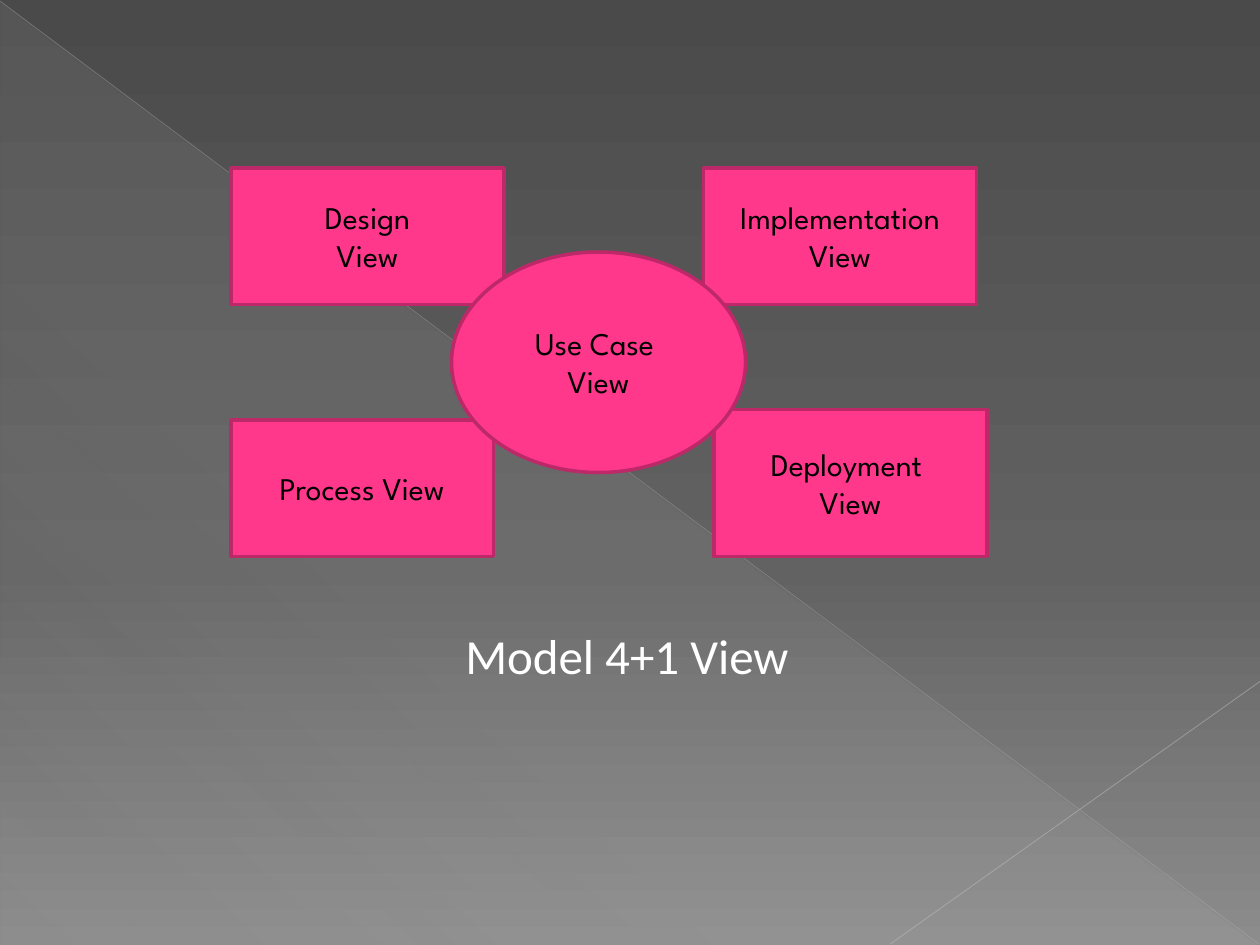
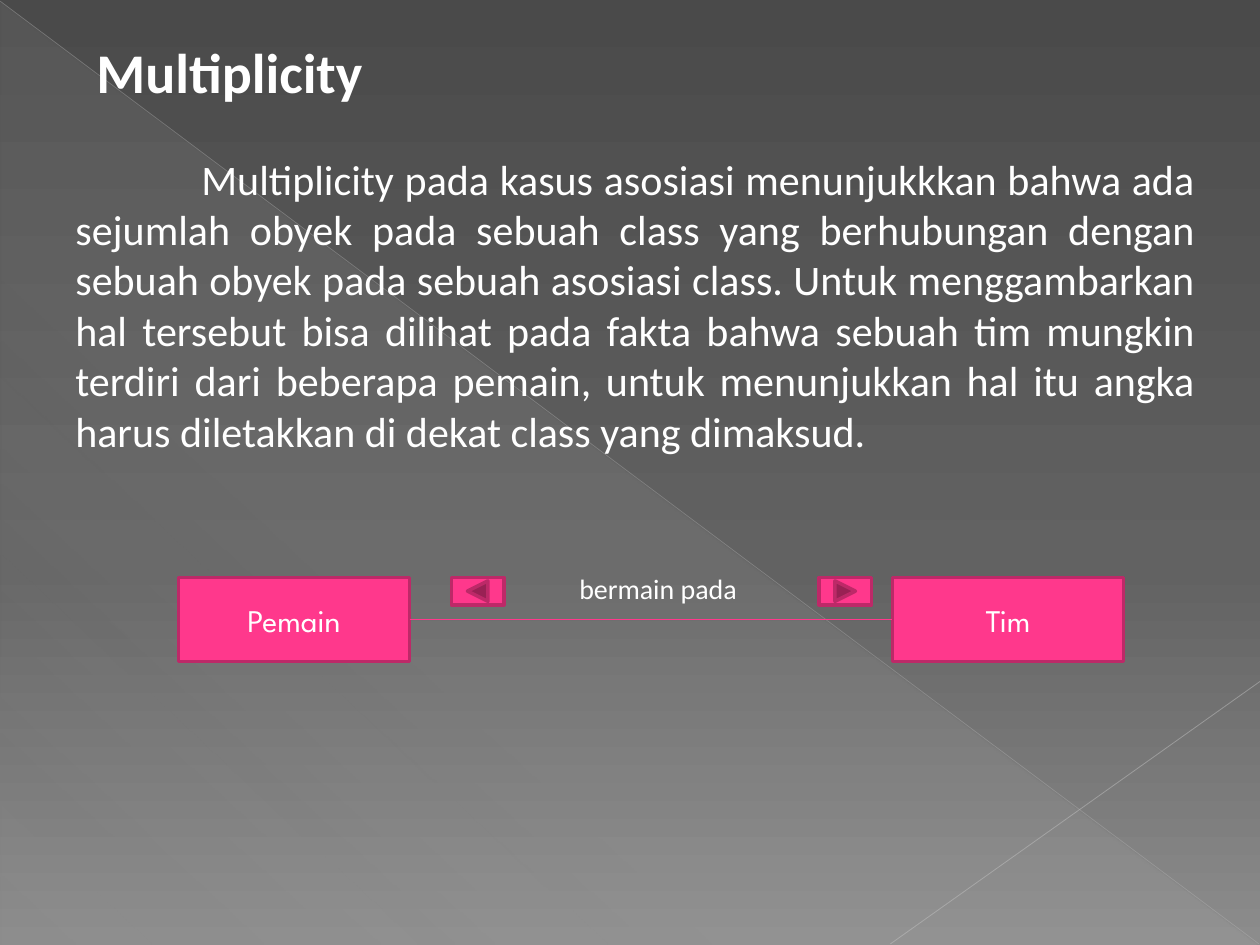
from dataclasses import dataclass
from typing import Optional

from lxml.etree import SubElement
from pptx import Presentation
from pptx.dml.color import RGBColor
from pptx.enum.shapes import MSO_CONNECTOR, MSO_SHAPE
from pptx.enum.text import MSO_ANCHOR, PP_ALIGN
from pptx.oxml.ns import qn
from pptx.util import Inches, Pt

WIDTH, HEIGHT = Inches(10), Inches(7.5)
COLUMNS, ROWS = 120, 90

PINK = RGBColor(0xFF, 0x38, 0x8C)
DEEP_PINK = RGBColor(0xBD, 0x29, 0x68)
BLACK = RGBColor(0x00, 0x00, 0x00)
WHITE = RGBColor(0xFF, 0xFF, 0xFF)
CHARCOAL = RGBColor(0x4A, 0x4A, 0x4A)
SLATE = RGBColor(0x62, 0x62, 0x62)
ASH = RGBColor(0x8C, 0x8C, 0x8C)
MIST = RGBColor(0xD2, 0xD2, 0xD2)
SILVER = RGBColor(0xBF, 0xBF, 0xBF)
PALE_SILVER = RGBColor(0xC6, 0xC6, 0xC6)

TEXT_FONT = "Calibri"
BOX_FONT = "League Spartan"


@dataclass(frozen=True)
class Area:
    """A rectangle in grid columns and rows."""
    column: float
    row: float
    columns: float
    rows: float

    def lengths(self):
        """Return left, top, width and height as lengths."""
        return (across(self.column), down(self.row),
                across(self.columns), down(self.rows))


@dataclass(frozen=True)
class Box:
    """A pink figure with one paragraph for each of its lines."""
    area: Area
    lines: tuple = ()
    color: RGBColor = BLACK
    preset: MSO_SHAPE = MSO_SHAPE.RECTANGLE


@dataclass(frozen=True)
class Stop:
    """A gradient stop, position and opacity in percent."""
    position: int
    color: RGBColor
    opacity: int = 100


@dataclass(frozen=True)
class Stroke:
    """A straight line between two grid points (column, row)."""
    start: tuple
    end: tuple
    color: RGBColor
    points: float
    opacity: int = 100


BACKGROUND = (Stop(0, CHARCOAL), Stop(60, SLATE), Stop(100, ASH))
SHEEN = (Stop(0, MIST, 10), Stop(70, MIST, 8), Stop(100, MIST, 1))
BACKDROP_LINES = (
    Stroke((0, 0.1), (119.9, 89.9), SILVER, 0.39, 35),
    Stroke((120, 64.9), (84.8, 89.9), PALE_SILVER, 0.47, 45),
)

MODEL_VIEWS = (
    Box(Area(22, 16, 26, 13), ("Design", "View")),
    Box(Area(67, 16, 26, 13), ("Implementation", "View")),
    Box(Area(22, 40, 25, 13), ("Process View",)),
    Box(Area(68, 39, 26, 14), ("Deployment ", "View")),
    Box(Area(43, 24, 28, 21), ("Use Case ", "View"), preset=MSO_SHAPE.OVAL),
)

ASSOCIATION_ROW = 55
PLAYER = Area(17, ASSOCIATION_ROW, 22, 8)
TEAM = Area(85, ASSOCIATION_ROW, 22, 8)
ASSOCIATION = (
    Box(PLAYER, ("Pemain",), WHITE),
    Box(TEAM, ("Tim",), WHITE),
    Box(Area(78, ASSOCIATION_ROW, 5, 2.6),
        preset=MSO_SHAPE.ACTION_BUTTON_FORWARD_OR_NEXT),
    Box(Area(43, ASSOCIATION_ROW, 5, 2.6),
        preset=MSO_SHAPE.ACTION_BUTTON_BACK_OR_PREVIOUS),
)

EXPLANATION = (
    "Multiplicity pada kasus asosiasi menunjukkkan bahwa ada sejumlah obyek "
    "pada sebuah class yang berhubungan dengan sebuah obyek pada sebuah "
    "asosiasi class. Untuk menggambarkan hal tersebut bisa dilihat pada fakta "
    "bahwa sebuah tim mungkin terdiri dari beberapa pemain, untuk menunjukkan "
    "hal itu angka harus diletakkan di dekat class yang dimaksud."
)


def across(columns: float) -> int:
    """Turn grid columns into a length."""
    return round(WIDTH * columns / COLUMNS)


def down(rows: float) -> int:
    """Turn grid rows into a length."""
    return round(HEIGHT * rows / ROWS)


def set_opacity(color_element, percent: int) -> None:
    """Add an alpha value to a colour element."""
    SubElement(color_element, qn("a:alpha"), val=str(percent * 1000))


def paint_gradient(fill, owner, stops: tuple, angle: int) -> None:
    """Give a fill, found within its owner element, a linear gradient."""
    fill.gradient()
    gradient = owner.find(".//" + qn("a:gradFill"))
    for child in list(gradient):
        gradient.remove(child)
    stop_list = SubElement(gradient, qn("a:gsLst"))
    for stop in stops:
        entry = SubElement(stop_list, qn("a:gs"), pos=str(stop.position * 1000))
        color = SubElement(entry, qn("a:srgbClr"), val=str(stop.color))
        if stop.opacity < 100:
            set_opacity(color, stop.opacity)
    SubElement(gradient, qn("a:lin"), ang=str(angle * 60000), scaled="0")


def draw_stroke(slide, stroke: Stroke) -> None:
    """Draw a straight line without a shadow."""
    (x1, y1), (x2, y2) = stroke.start, stroke.end
    connector = slide.shapes.add_connector(
        MSO_CONNECTOR.STRAIGHT, across(x1), down(y1), across(x2), down(y2))
    connector.line.color.rgb = stroke.color
    connector.line.width = Pt(stroke.points)
    properties = connector._element.spPr
    if stroke.opacity < 100:
        set_opacity(properties.find(".//" + qn("a:srgbClr")), stroke.opacity)
    SubElement(properties, qn("a:effectLst"))


def add_backdrop_slide(deck):
    """Add a blank slide with the grey gradient, sheen and thin diagonals."""
    slide = deck.slides.add_slide(deck.slide_layouts[6])
    paint_gradient(slide.background.fill, slide._element, BACKGROUND, 90)
    sheen = slide.shapes.add_shape(
        MSO_SHAPE.RIGHT_TRIANGLE, *Area(0.1, 0.2, 119.8, 89.8).lengths())
    sheen.shadow.inherit = False
    sheen.line.fill.background()
    paint_gradient(sheen.fill, sheen._element, SHEEN, 133)
    for stroke in BACKDROP_LINES:
        draw_stroke(slide, stroke)
    return slide


def style_paragraph(paragraph, name: str, size: float, color: RGBColor,
                    align: PP_ALIGN, bold: bool = False) -> None:
    """Set the font and alignment of a paragraph."""
    paragraph.alignment = align
    paragraph.font.name = name
    paragraph.font.size = Pt(size)
    paragraph.font.color.rgb = color
    paragraph.font.bold = bold


def draw_box(slide, box: Box) -> None:
    """Draw a pink figure with centred text."""
    figure = slide.shapes.add_shape(box.preset, *box.area.lengths())
    figure.shadow.inherit = False
    figure.fill.solid()
    figure.fill.fore_color.rgb = PINK
    figure.line.color.rgb = DEEP_PINK
    figure.line.width = Pt(2)
    if box.lines:
        frame = figure.text_frame
        frame.text = "\n".join(box.lines)
        frame.vertical_anchor = MSO_ANCHOR.MIDDLE
        for paragraph in frame.paragraphs:
            style_paragraph(paragraph, BOX_FONT, 18, box.color, PP_ALIGN.CENTER)


def write(slide, area: Area, words: str, size: float,
          align: PP_ALIGN = PP_ALIGN.LEFT, bold: bool = False,
          indent: Optional[int] = None) -> None:
    """Write one white paragraph, with an optional first-line indent."""
    frame = slide.shapes.add_textbox(*area.lengths()).text_frame
    frame.word_wrap = True
    paragraph = frame.paragraphs[0]
    paragraph.text = words
    style_paragraph(paragraph, TEXT_FONT, size, WHITE, align, bold)
    if indent is not None:
        properties = paragraph._p.get_or_add_pPr()
        properties.set("marL", "0")
        properties.set("indent", str(indent))


def build_model_slide(deck) -> None:
    """Show the four views around the use case view."""
    slide = add_backdrop_slide(deck)
    for view in MODEL_VIEWS:
        draw_box(slide, view)
    write(slide, Area(16, 59, 87.4, 7), "Model 4+1 View", 28, PP_ALIGN.CENTER)


def build_multiplicity_slide(deck) -> None:
    """Explain multiplicity with an association of two classes."""
    slide = add_backdrop_slide(deck)
    write(slide, Area(8, 3, 90, 8.5), "Multiplicity", 32, bold=True)
    write(slide, Area(6, 14, 109, 30), EXPLANATION, 24, PP_ALIGN.JUSTIFY,
          indent=across(12))
    write(slide, Area(54, 53.8, 18, 4), "bermain pada", 16)
    for box in ASSOCIATION:
        draw_box(slide, box)
    middle = PLAYER.row + PLAYER.rows / 2
    draw_stroke(slide, Stroke((PLAYER.column + PLAYER.columns, middle),
                              (TEAM.column, middle), PINK, 0.75))


def main() -> None:
    """Build and save the presentation."""
    deck = Presentation()
    deck.slide_width, deck.slide_height = WIDTH, HEIGHT
    build_model_slide(deck)
    build_multiplicity_slide(deck)
    deck.save("out.pptx")


main()
